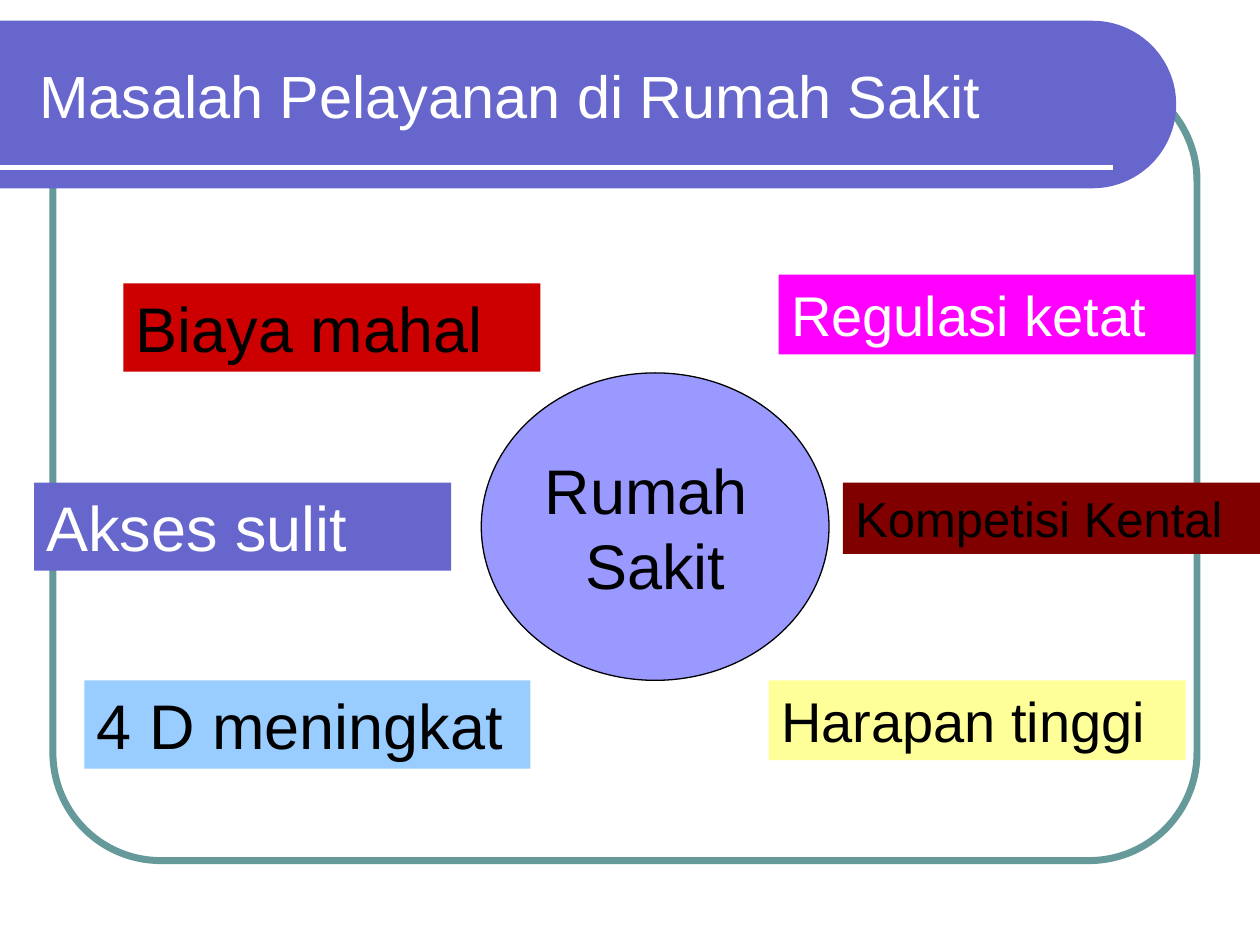
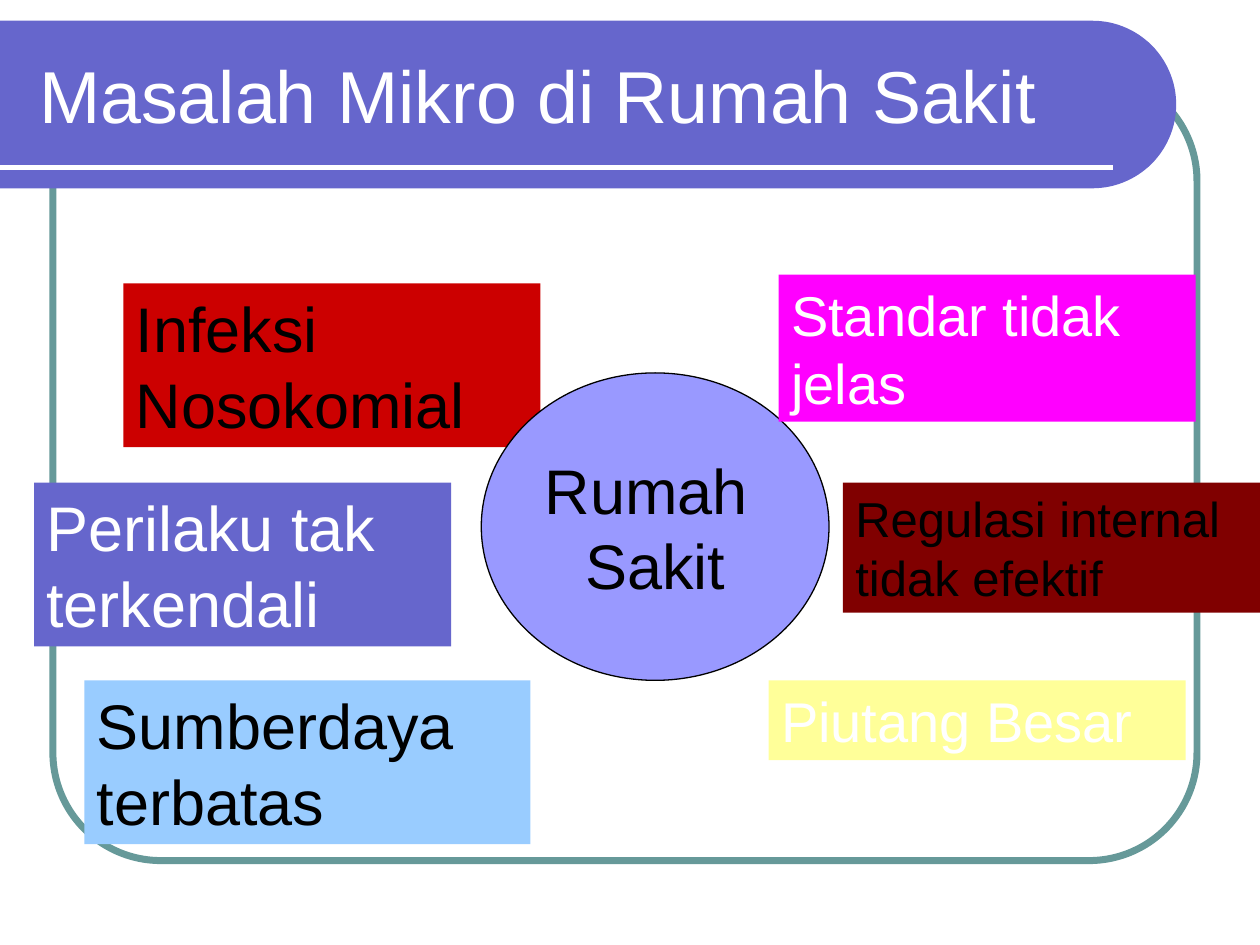
from dataclasses import dataclass
from math import cos, radians, sin

from pptx import Presentation
from pptx import util as u
from pptx.dml.color import RGBColor
from pptx.enum import shapes, text
from pptx.oxml.ns import qn
from lxml import etree


@dataclass(frozen=True)
class Theme:
    font: str = "Arial"
    white: str = "FFFFFF"
    black: str = "000000"
    band: str = "6666CC"
    frame: str = "669999"
    hub: str = "9999FF"
    red: str = "CC0000"
    sky: str = "99CCFF"
    maroon: str = "800000"
    magenta: str = "FF00FF"
    yellow: str = "FFFF99"
    large: int = 36
    medium: int = 32
    small: int = 28


@dataclass(frozen=True)
class Slot:
    left: float
    top: float
    width: float
    fill: str
    size: int


@dataclass(frozen=True)
class Problem:
    wording: str
    color: str
    lines: int = 1


@dataclass(frozen=True)
class Topic:
    title: str
    title_size: int
    problems: tuple[Problem, ...]


THEME = Theme()
SLOTS = (
    Slot(0.98, 2.25, 3.31, THEME.red, THEME.large),
    Slot(0.67, 5.4, 3.54, THEME.sky, THEME.large),
    Slot(0.27, 3.83, 3.31, THEME.band, THEME.large),
    Slot(6.69, 3.83, 3.31, THEME.maroon, THEME.small),
    Slot(6.18, 2.18, 3.31, THEME.magenta, THEME.medium),
    Slot(6.1, 5.4, 3.31, THEME.yellow, THEME.medium),
)
SLOTS_BEHIND_HUB = 3
TOPICS = (
    Topic("Masalah Pelayanan di Rumah Sakit", 34, (
        Problem("Biaya mahal", THEME.black),
        Problem("4 D meningkat", THEME.black),
        Problem("Akses sulit", THEME.white),
        Problem("Kompetisi Kental", THEME.black),
        Problem("Regulasi ketat", THEME.white),
        Problem("Harapan tinggi", THEME.black),
    )),
    Topic("Masalah Mikro di Rumah Sakit", 42, (
        Problem("Infeksi Nosokomial", THEME.black, 2),
        Problem("Sumberdaya terbatas", THEME.black, 2),
        Problem("Perilaku tak terkendali", THEME.white, 2),
        Problem("Regulasi internal tidak efektif", THEME.black, 2),
        Problem("Standar tidak jelas", THEME.white, 2),
        Problem("Piutang Besar", THEME.white),
    )),
)


def rgb(color: str) -> RGBColor:
    return RGBColor.from_string(color)


def box(left: float, top: float, width: float, height: float) -> list[u.Length]:
    return [u.Inches(value) for value in (left, top, width, height)]


def paint(shape, fill: str | None, line: str | None = None, weight: float = 0) -> None:
    shape.shadow.inherit = False
    if fill:
        shape.fill.solid()
        shape.fill.fore_color.rgb = rgb(fill)
    else:
        shape.fill.background()
    if line:
        shape.line.color.rgb = rgb(line)
        shape.line.width = u.Pt(weight)
    else:
        shape.line.fill.background()


def write(shape, wording: str, size: int, color: str, align, anchor, wrap: bool = True) -> None:
    frame = shape.text_frame
    frame.text = wording
    frame.word_wrap = wrap
    frame.auto_size = text.MSO_AUTO_SIZE.NONE
    frame.vertical_anchor = anchor
    for paragraph in frame.paragraphs:
        paragraph.alignment = align
        paragraph.font.name = THEME.font
        paragraph.font.size = u.Pt(size)
        paragraph.font.color.rgb = rgb(color)


def draw_backdrop(slide) -> list:
    frame = slide.shapes.add_shape(
        shapes.MSO_SHAPE.ROUNDED_RECTANGLE, *box(0.42, 0.58, 9.08, 6.25))
    frame.adjustments[0] = 0.137
    paint(frame, None, THEME.frame, 4)

    center_x, center_y, radius = 8.67, 0.83, 0.665
    cap = [(center_x + radius * cos(radians(angle)), center_y + radius * sin(radians(angle)))
           for angle in range(-90, 91, 3)]
    outline = [*cap, (0, center_y + radius)]
    builder = slide.shapes.build_freeform(0, u.Inches(center_y - radius))
    builder.add_line_segments([(u.Inches(x), u.Inches(y)) for x, y in outline])
    band = builder.convert_to_shape()
    paint(band, THEME.band)

    rule = slide.shapes.add_connector(
        shapes.MSO_CONNECTOR.STRAIGHT, *box(0, 1.33, 8.83, 1.33))
    rule.line.color.rgb = rgb(THEME.white)
    rule.line.width = u.Pt(3)
    etree.SubElement(rule.element.spPr, qn("a:effectLst"))
    return [frame, band, rule]


def share_backdrop(slide) -> None:
    layout = slide.slide_layout
    for placeholder in list(layout.placeholders):
        if placeholder.placeholder_format.idx != 0:
            layout.shapes.element.remove(placeholder.element)
    for part in draw_backdrop(slide):
        layout.shapes.element.append(part.element)


def draw_title(slide, topic: Topic) -> None:
    title = slide.shapes.title
    title.left, title.top, title.width, title.height = box(0.21, 0.25, 8.77, 1)
    write(title, topic.title, topic.title_size, THEME.white,
          text.PP_ALIGN.LEFT, text.MSO_ANCHOR.MIDDLE)


def draw_problem(slide, slot: Slot, problem: Problem) -> None:
    height = 0.1 + problem.lines * slot.size / 60
    label = slide.shapes.add_shape(
        shapes.MSO_SHAPE.RECTANGLE, *box(slot.left, slot.top, slot.width, height))
    paint(label, slot.fill)
    write(label, problem.wording, slot.size, problem.color,
          text.PP_ALIGN.LEFT, text.MSO_ANCHOR.TOP)


def draw_hub(slide) -> None:
    hub = slide.shapes.add_shape(shapes.MSO_SHAPE.OVAL, *box(3.82, 2.96, 2.76, 2.44))
    paint(hub, THEME.hub, THEME.black, 0.75)
    write(hub, "Rumah \nSakit", THEME.large, THEME.black,
          text.PP_ALIGN.CENTER, text.MSO_ANCHOR.MIDDLE, wrap=False)


def draw_topic(slide, topic: Topic) -> None:
    draw_title(slide, topic)
    for index, (slot, problem) in enumerate(zip(SLOTS, topic.problems)):
        if index == SLOTS_BEHIND_HUB:
            draw_hub(slide)
        draw_problem(slide, slot, problem)


def main() -> None:
    deck = Presentation()
    deck.slide_width, deck.slide_height = u.Inches(10), u.Inches(7.5)
    title_only = deck.slide_layouts[5]
    slides = [deck.slides.add_slide(title_only) for _ in TOPICS]
    share_backdrop(slides[0])
    for slide, topic in zip(slides, TOPICS):
        draw_topic(slide, topic)
    deck.save("out.pptx")


if __name__ == "__main__":
    main()
